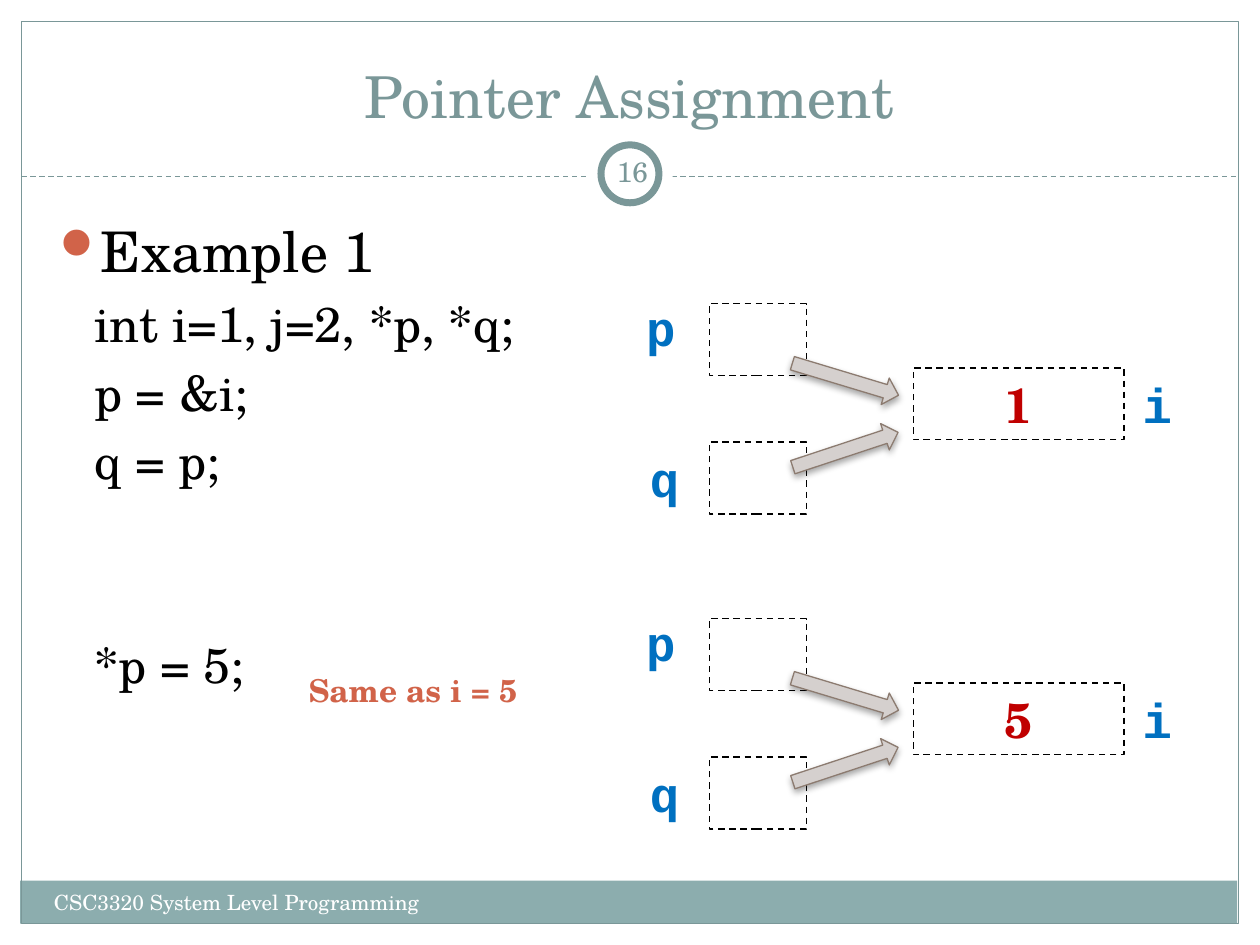
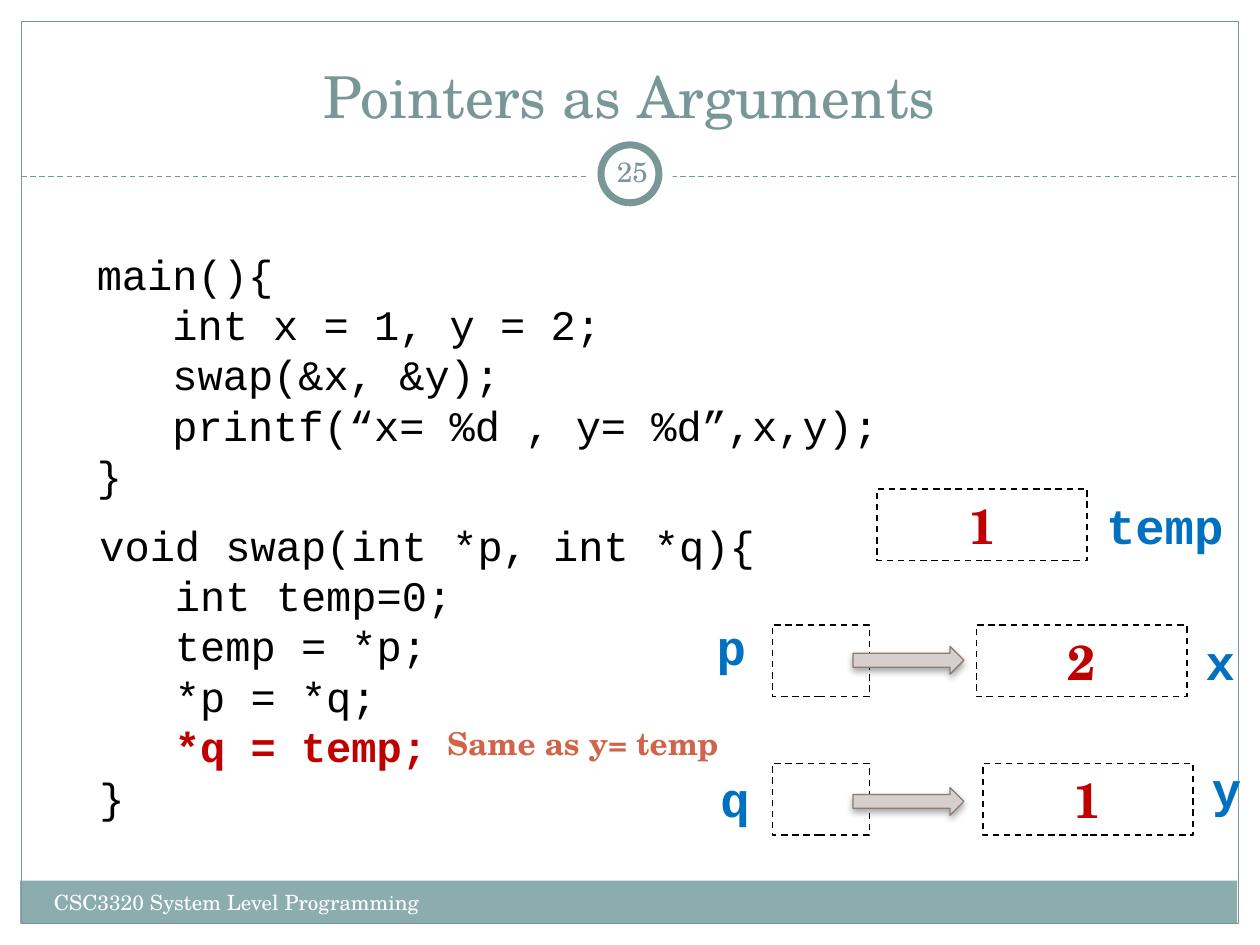
from dataclasses import dataclass

from lxml import etree
from pptx import Presentation
from pptx import util as u
from pptx.dml.color import RGBColor
from pptx.enum import dml, shapes, text
from pptx.oxml.ns import qn


@dataclass(frozen=True)
class Theme:
    serif: str = "TeX Gyre Schola"
    mono: str = "Courier New"
    white: str = "FFFFFF"
    black: str = "000000"
    slate: str = "7A9798"
    band: str = "8CADAE"
    accent: str = "D16349"
    value: str = "C00000"
    label: str = "0070C0"
    arrow: str = "D5D0CE"
    arrow_edge: str = "8C7B70"
    title_size: int = 33
    heading_size: int = 32
    body_size: int = 28
    code_size: int = 24
    note_size: int = 18
    number_size: int = 16
    footer_size: int = 12


THEME = Theme()
FOOTER = "CSC3320 System Level Programming"
CELL_HEIGHT = 0.57
POINTER_WIDTH = 0.77
VALUE_WIDTH = 1.67
ARROW_SIZE = (0.88, 0.22)
LABEL_WIDTH = 0.44


def color(value):
    return RGBColor.from_string(value)


def inches(*lengths):
    return [u.Inches(length) for length in lengths]


def style_font(font, size, name=THEME.serif, ink=THEME.black, bold=False):
    font.size = u.Pt(size)
    font.name = name
    font.color.rgb = color(ink)
    font.bold = bold


def add_child(parent, tag, **attributes):
    return etree.SubElement(parent, qn(tag), attributes)


def add_text(slide, box, lines, size, align=text.PP_ALIGN.LEFT,
             anchor=text.MSO_ANCHOR.TOP, side=0.1, **font_style):
    """Add a text box with one paragraph per line, all in one style."""
    shape = slide.shapes.add_textbox(*inches(*box))
    frame = shape.text_frame
    frame.word_wrap = True
    frame.vertical_anchor = anchor
    frame.margin_left = frame.margin_right = u.Inches(side)
    frame.text = "\n".join(lines)
    for paragraph in frame.paragraphs:
        paragraph.alignment = align
        style_font(paragraph.font, size, **font_style)
    return frame


def add_shape(slide, kind, box, fill=None, line=None, width=0.75, dashed=False):
    shape = slide.shapes.add_shape(kind, *inches(*box))
    shape.shadow.inherit = False
    if fill:
        shape.fill.solid()
        shape.fill.fore_color.rgb = color(fill)
    else:
        shape.fill.background()
    if line:
        shape.line.color.rgb = color(line)
        shape.line.width = u.Pt(width)
        if dashed:
            shape.line.dash_style = dml.MSO_LINE.DASH
    else:
        shape.line.fill.background()
    return shape


# Frame, title, page number and footer shared by all slides
def add_frame(presentation, title, number):
    slide = presentation.slides.add_slide(presentation.slide_layouts[6])
    rectangle, oval = shapes.MSO_SHAPE.RECTANGLE, shapes.MSO_SHAPE.OVAL
    add_shape(slide, rectangle, (0.16, 6.99, 9.66, 0.34), THEME.band)
    add_shape(slide, rectangle, (0.17, 0.17, 9.66, 7.16), line=THEME.slate)

    divider = slide.shapes.add_connector(
        shapes.MSO_CONNECTOR.STRAIGHT, *inches(0.17, 1.4, 9.83, 1.4))
    divider.line.color.rgb = color(THEME.slate)
    divider.line.width = u.Pt(0.75)
    divider.line.dash_style = dml.MSO_LINE.DASH
    add_child(divider._element.spPr, "a:effectLst")

    add_shape(slide, oval, (4.67, 1.05, 0.67, 0.67), THEME.white)
    add_shape(slide, oval, (4.77, 1.15, 0.46, 0.46), THEME.white, THEME.slate, 4)
    add_text(slide, (0.33, 0.25, 9.33, 0.83), [title], THEME.title_size,
             text.PP_ALIGN.CENTER, text.MSO_ANCHOR.BOTTOM, ink=THEME.slate)
    add_text(slide, (0.33, 7.01, 3.92, 0.4), [FOOTER], THEME.footer_size,
             ink=THEME.white)
    add_text(slide, (4.77, 1.12, 0.5, 0.48), [str(number)], THEME.number_size,
             text.PP_ALIGN.CENTER, text.MSO_ANCHOR.MIDDLE, 0.05, ink=THEME.slate)
    return slide


# Parts of the memory diagrams
def add_cell(slide, left, top, width=POINTER_WIDTH, value=None):
    cell = add_shape(slide, shapes.MSO_SHAPE.RECTANGLE,
                     (left, top, width, CELL_HEIGHT),
                     THEME.white, THEME.black, 0.9, dashed=True)
    if value:
        frame = cell.text_frame
        frame.vertical_anchor = text.MSO_ANCHOR.TOP
        frame.text = value
        paragraph = frame.paragraphs[0]
        paragraph.alignment = text.PP_ALIGN.CENTER
        style_font(paragraph.font, THEME.body_size, ink=THEME.value, bold=True)


def add_label(slide, left, top, name, width=LABEL_WIDTH):
    add_text(slide, (left, top, width, CELL_HEIGHT), [name], THEME.body_size,
             name=THEME.mono, ink=THEME.label, bold=True)


def add_variable(slide, left, top, value, name, label_shift=0, label_width=LABEL_WIDTH):
    add_cell(slide, left, top, VALUE_WIDTH, value)
    add_label(slide, left + VALUE_WIDTH + 0.05, top + label_shift, name, label_width)


def add_arrow(slide, left, top, rotation=0):
    arrow = add_shape(slide, shapes.MSO_SHAPE.RIGHT_ARROW,
                      (left, top, *ARROW_SIZE), THEME.arrow, THEME.arrow_edge)
    arrow.rotation = rotation
    effects = arrow._element.spPr.find(qn("a:effectLst"))
    shadow = add_child(effects, "a:outerShdw", blurRad=str(u.Pt(4)),
                       dist=str(u.Pt(2)), dir="5400000", rotWithShape="0")
    ink = add_child(shadow, "a:srgbClr", val=THEME.black)
    add_child(ink, "a:alpha", val="35000")


def add_note(slide, left, top, width, note):
    add_text(slide, (left, top, width, 0.4), [note], THEME.note_size,
             ink=THEME.accent, bold=True)


def add_shared_target(slide, left, top, value):
    """Draw p and q both pointing at i."""
    add_variable(slide, left + 2.22, top + 0.61, value, "i")
    for name, label_left, label_top, cell_top, arrow_top, rotation in (
            ("p", 0, 0, 0.1, 0.59, 16.8),
            ("q", 0.03, 1.2, 1.2, 1.15, 341.7)):
        add_cell(slide, left + 0.6, top + cell_top)
        add_arrow(slide, left + 1.24, top + arrow_top, rotation)
        add_label(slide, left + label_left, top + label_top, name)


def add_swap_memory(slide, left, top):
    """Draw temp above the rows in which p points at x and q at y."""
    add_variable(slide, left + 1.37, top, "1", "temp", label_width=1.14)
    for (name, label_left, label_top, cell_top, arrow_top,
         target_left, value, target, target_shift) in (
            ("p", 0, 0.96, 1.08, 1.25, 2.16, "2", "x", 0),
            ("q", 0.03, 2.17, 2.18, 2.37, 2.21, "1", "y", -0.09)):
        add_cell(slide, left + 0.54, top + cell_top)
        add_arrow(slide, left + 1.18, top + arrow_top)
        add_label(slide, left + label_left, top + label_top, name)
        add_variable(slide, left + target_left, top + cell_top, value, target,
                     target_shift)


# Bulleted heading followed by indented statements
def add_example(slide, box, heading, statements, gap_before_last):
    frame = add_text(slide, box, [heading, *statements], THEME.body_size,
                     text.PP_ALIGN.JUSTIFY)
    first, *rest = frame.paragraphs
    properties = first._p.get_or_add_pPr()
    properties.set("marL", str(u.Inches(0.3)))
    properties.set("indent", str(-u.Inches(0.3)))
    bullet = etree.Element(qn("a:buClr"))
    add_child(bullet, "a:srgbClr", val=THEME.accent)
    character = etree.Element(qn("a:buChar"), char="⚫")
    properties.insert(0, bullet)
    properties.insert(1, character)
    first.font.size = u.Pt(THEME.heading_size)
    for paragraph in rest:
        paragraph._p.get_or_add_pPr().set("marL", str(u.Inches(0.32)))
        paragraph.space_before = u.Pt(5.6)
    rest[-1].space_before = u.Pt(gap_before_last)


def add_code(slide, box, lines, highlight=None):
    frame = add_text(slide, box, lines, THEME.code_size, name=THEME.mono)
    for paragraph in frame.paragraphs:
        if highlight and paragraph.text.strip() == highlight:
            run = paragraph.runs[0]
            run.font.bold = True
            run.font.color.rgb = color(THEME.value)


def build_assignment(presentation):
    slide = add_frame(presentation, "Pointer Assignment", 16)
    add_example(slide, (0.33, 1.67, 9.3, 5), "Example 1",
                ["int i=1, j=2, *p, *q;", "p = &i;", "q = p;", "*p = 5;"], 82.5)
    for top, value in ((2.31, "1"), (4.81, "5")):
        add_shared_target(slide, 5.03, top, value)
    add_note(slide, 2.35, 5.28, 1.89, "Same as i = 5")


def build_arguments(presentation):
    slide = add_frame(presentation, "Pointers as Arguments", 25)
    add_code(slide, (0.67, 1.92, 7, 2.12), [
        "main(){",
        "   int x = 1, y = 2;",
        "   swap(&x, &y);",
        "   printf(“x= %d , y= %d”,x,y);",
        "}"])
    add_code(slide, (0.69, 4.07, 6.31, 2.52), [
        "void swap(int *p, int *q){",
        "   int temp=0;",
        "   temp = *p;",
        "   *p = *q;",
        "   *q = temp;",
        "}"], highlight="*q = temp;")
    add_swap_memory(slide, 5.59, 3.88)
    add_note(slide, 3.45, 5.7, 2.38, "Same as y= temp")


def main():
    presentation = Presentation()
    presentation.slide_width, presentation.slide_height = inches(10, 7.5)
    build_assignment(presentation)
    build_arguments(presentation)
    presentation.save("out.pptx")


if __name__ == "__main__":
    main()
